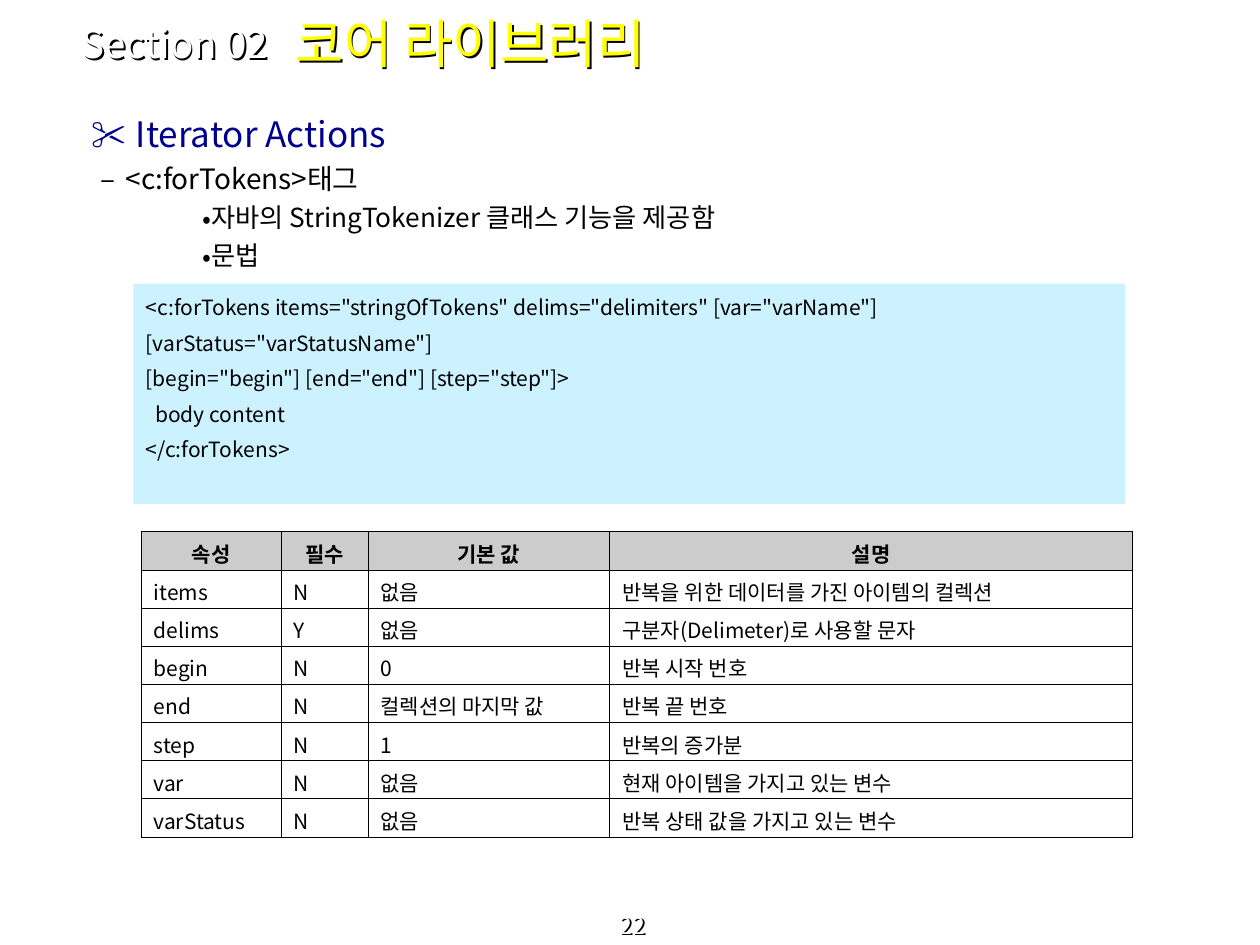
"""Build the slide on the forTokens tag of the core library."""
import pptx
import pptx.dml.color
import pptx.enum.shapes
import pptx.enum.text
import pptx.oxml
import pptx.oxml.ns
import pptx.util

RGB = pptx.dml.color.RGBColor
WHITE = RGB(0xFF, 0xFF, 0xFF)
BLACK = RGB(0x00, 0x00, 0x00)
YELLOW = RGB(0xFF, 0xFF, 0x00)
NAVY = RGB(0x00, 0x00, 0x8E)
SKY = RGB(0xCD, 0xF2, 0xFF)
GREY = RGB(0xCC, 0xCC, 0xCC)
FONT = "Noto Sans CJK KR"
NS = pptx.oxml.ns.nsdecls("a")
ALIGN = pptx.enum.text.PP_ALIGN
ANCHOR = pptx.enum.text.MSO_ANCHOR

prs = pptx.Presentation()
prs.slide_width = pptx.util.Inches(10)
prs.slide_height = pptx.util.Inches(7.5)
COL = prs.slide_width / 100
ROW = prs.slide_height / 75
s = prs.slides.add_slide(prs.slide_layouts[6])


def box(x, y, w, h, anchor, shadow=True):
    sp = s.shapes.add_textbox(int(x * COL), int(y * ROW), int(w * COL), int(h * ROW))
    if shadow:
        sp._element.spPr.append(pptx.oxml.parse_xml(
            f'<a:effectLst {NS}><a:outerShdw dist="17961" dir="2700000">'
            f'<a:srgbClr val="{BLACK}"/></a:outerShdw></a:effectLst>'))
    tf = sp.text_frame
    tf.word_wrap = True
    tf.vertical_anchor = anchor
    return tf


def run(p, text, size, color, bold=False):
    r = p.add_run()
    r.text = text
    r.font.size = pptx.util.Pt(size)
    r.font.bold = bold
    r.font.color.rgb = color
    r.font.name = FONT
    r.font._element.append(pptx.oxml.parse_xml(f'<a:ea {NS} typeface="{FONT}"/>'))


tf = box(0.2, 72.8, 100, 2.2, ANCHOR.BOTTOM)
tf.paragraphs[0].alignment = ALIGN.CENTER
run(tf.paragraphs[0], "22", 13, WHITE)

outline = [
    ("Iterator Actions", "✂", 20, NAVY, 0, 4.7, -3.5, 0),
    ("<c:forTokens>태그", "–", 16, BLACK, 1, 3.9, -2, 4),
    ("자바의 StringTokenizer 클래스 기능을 제공함", "•", 15, BLACK, 2, 5.9, 4.1, 3.7),
    ("문법", "•", 15, BLACK, 2, 5.9, 4.1, 3.7),
]
tf = box(5.1, 8.4, 90, 49.5, ANCHOR.TOP, shadow=False)
for i, (text, bullet, size, color, level, margin, indent, before) in enumerate(outline):
    p = tf.add_paragraph() if i else tf.paragraphs[0]
    p.level = level
    p.space_before = pptx.util.Pt(before)
    ppr = p._p.get_or_add_pPr()
    ppr.set("marL", str(int(margin * COL)))
    ppr.set("indent", str(int(indent * COL)))
    for bit in (f'<a:buClr {NS}><a:srgbClr val="{color}"/></a:buClr>',
                f'<a:buFont {NS} typeface="{FONT}"/>',
                f'<a:buChar {NS} char="{bullet}"/>'):
        ppr.append(pptx.oxml.parse_xml(bit))
    run(p, text, size, color)

code = [
    '<c:forTokens items="stringOfTokens" delims="delimiters" [var="varName"]',
    '[varStatus="varStatusName"]',
    '[begin="begin"] [end="end"] [step="step"]>',
    "  body content",
    "</c:forTokens>",
]
sp = s.shapes.add_shape(pptx.enum.shapes.MSO_SHAPE.RECTANGLE,
                        int(10.6 * COL), int(22.5 * ROW), int(78.7 * COL), int(17.5 * ROW))
sp.shadow.inherit = False
sp.fill.solid()
sp.fill.fore_color.rgb = SKY
sp.line.fill.background()
tf = sp.text_frame
tf.word_wrap = True
tf.vertical_anchor = ANCHOR.TOP
for i, text in enumerate(code):
    p = tf.add_paragraph() if i else tf.paragraphs[0]
    p.alignment = ALIGN.LEFT
    p.line_spacing = 1.2
    p.space_before = pptx.util.Pt(3 if i else 0)
    ppr = p._p.get_or_add_pPr()
    ppr.set("marL", str(int(COL)))
    ppr.set("indent", str(int(-COL)))
    run(p, text, 12, BLACK)

attributes = [
    ("속성", "필수", "기본 값", "설명"),
    ("items", "N", "없음", "반복을 위한 데이터를 가진 아이템의 컬렉션"),
    ("delims", "Y", "없음", "구분자(Delimeter)로 사용할 문자"),
    ("begin", "N", "0", "반복 시작 번호"),
    ("end", "N", "컬렉션의 마지막 값", "반복 끝 번호"),
    ("step", "N", "1", "반복의 증가분"),
    ("var", "N", "없음", "현재 아이템을 가지고 있는 변수"),
    ("varStatus", "N", "없음", "반복 상태 값을 가지고 있는 변수"),
]
widths = [11.1, 6.9, 19.2, 41.5]
table = s.shapes.add_table(len(attributes), len(widths), int(11.2 * COL), int(42.2 * ROW),
                           int(sum(widths) * COL), int(24.2 * ROW)).table
table.first_row = False
table.horz_banding = False
for column, width in zip(table.columns, widths):
    column.width = int(width * COL)
for i, values in enumerate(attributes):
    table.rows[i].height = int(3.03 * ROW)
    for j, text in enumerate(values):
        cell = table.cell(i, j)
        cell.vertical_anchor = ANCHOR.MIDDLE
        cell.margin_top = int(0.5 * ROW)
        cell.margin_bottom = int(0.2 * ROW)
        for side in "LRTB":
            cell._tc.get_or_add_tcPr().append(pptx.oxml.parse_xml(
                f'<a:ln{side} {NS} w="{pptx.util.Pt(0.45)}"><a:solidFill>'
                f'<a:srgbClr val="{BLACK}"/></a:solidFill></a:ln{side}>'))
        if i == 0:
            cell.fill.solid()
            cell.fill.fore_color.rgb = GREY
        else:
            cell.fill.background()
        p = cell.text_frame.paragraphs[0]
        p.alignment = ALIGN.JUSTIFY if i else ALIGN.CENTER
        run(p, text, 12, BLACK, bold=i == 0)

tf = box(22.5, 0, 64, 6.8, ANCHOR.MIDDLE)
run(tf.paragraphs[0], "코어 라이브러리", 30, YELLOW)
tf = box(5.5, 1.6, 19.3, 3.7, ANCHOR.MIDDLE)
run(tf.paragraphs[0], "Section 02", 22, WHITE)

prs.save("out.pptx")
